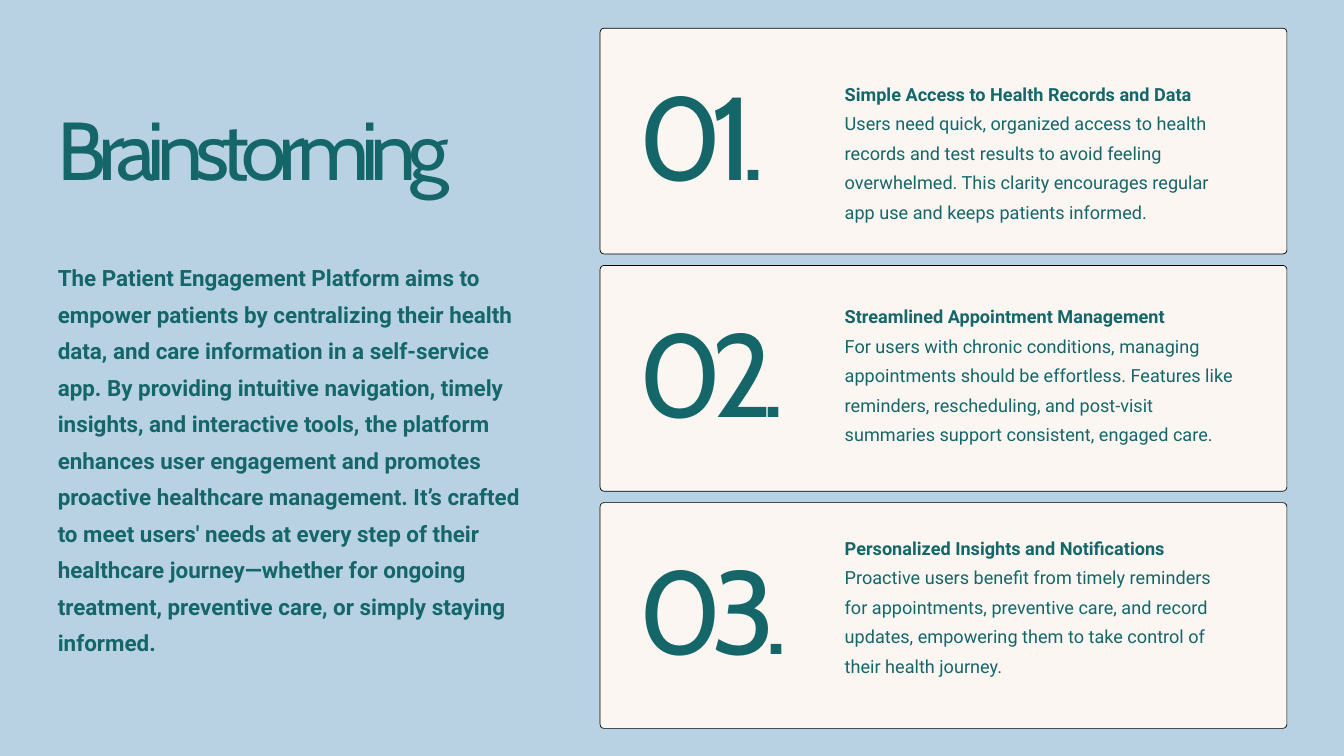
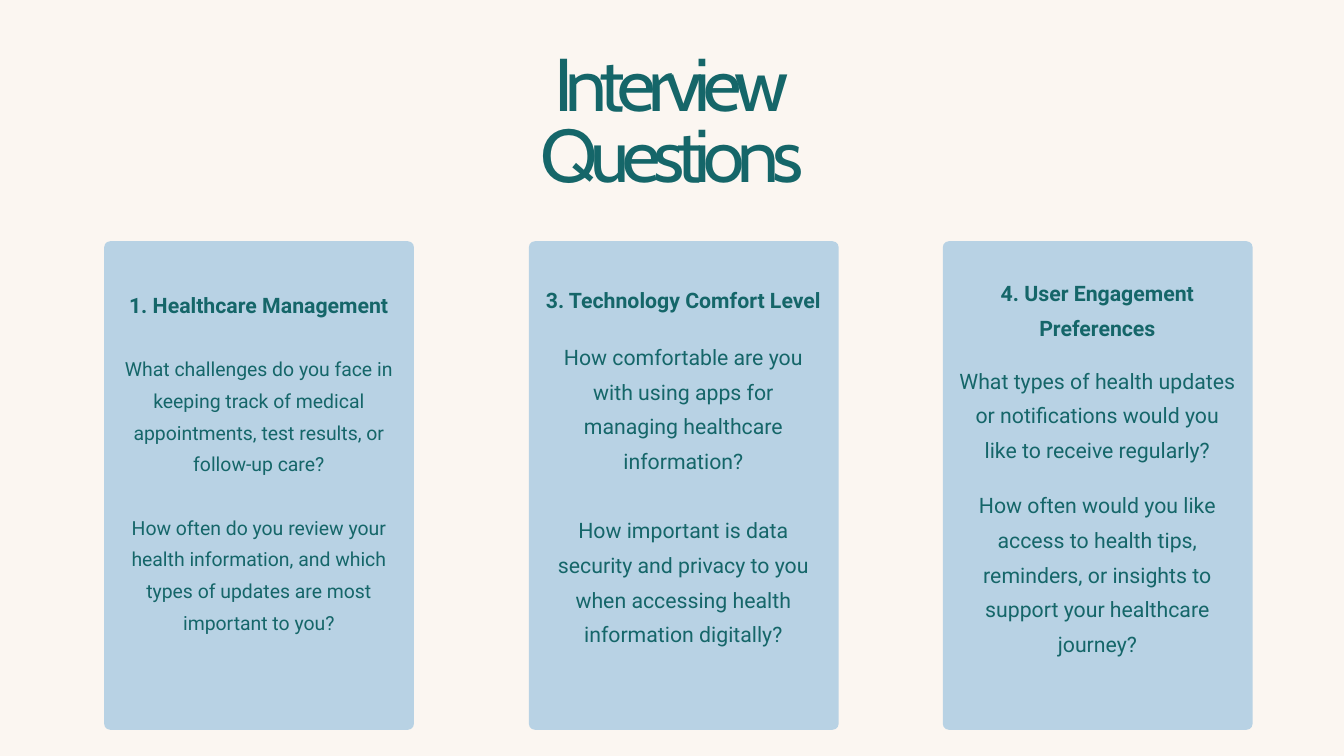
from dataclasses import dataclass

from lxml.etree import SubElement
from pptx import Presentation
from pptx.dml.color import RGBColor
from pptx.enum.shapes import MSO_SHAPE
from pptx.enum.text import MSO_ANCHOR, MSO_AUTO_SIZE, PP_ALIGN
from pptx.oxml.ns import qn
from pptx.util import Inches, Pt

TEAL, BLUE, CREAM, BLACK = "156669", "B8D2E4", "FBF6F1", "000000"
HEADING_FONT, BODY_FONT = "Cabin", "Roboto"
TITLE_AND_CONTENT, TITLE_ONLY = 1, 5


@dataclass
class Style:
    font: str
    size: float
    leading: float
    bold: bool = False
    tracking: float = 0
    align: PP_ALIGN = PP_ALIGN.LEFT


def colour(value):
    return RGBColor.from_string(value)


def add_slide(presentation, layout, background):
    slide = presentation.slides.add_slide(presentation.slide_layouts[layout])
    slide.background.fill.solid()
    slide.background.fill.fore_color.rgb = colour(background)
    return slide


def write(shape, box, paragraphs):
    shape.left, shape.top, shape.width, shape.height = map(Inches, box)
    frame = shape.text_frame
    frame.margin_left = frame.margin_top = frame.margin_right = frame.margin_bottom = 0
    frame.word_wrap = True
    frame.auto_size = MSO_AUTO_SIZE.NONE
    frame.vertical_anchor = MSO_ANCHOR.TOP
    for index, (text, style, gap) in enumerate(paragraphs):
        paragraph = frame.add_paragraph() if index else frame.paragraphs[0]
        if shape.is_placeholder:
            properties = paragraph._p.get_or_add_pPr()
            properties.set("marL", "0")
            properties.set("indent", "0")
            SubElement(properties, qn("a:buNone"))
        paragraph.alignment = style.align
        paragraph.line_spacing = Pt(style.leading)
        paragraph.space_before = Pt(gap)
        run = paragraph.add_run()
        run.text = text
        run.font.name = style.font
        run.font.size = Pt(style.size)
        run.font.bold = style.bold
        run.font.color.rgb = colour(TEAL)
        if style.tracking:
            run._r.get_or_add_rPr().set("spc", str(round(style.tracking * 100)))


def add_text(slide, box, paragraphs):
    write(slide.shapes.add_textbox(0, 0, 0, 0), box, paragraphs)


def add_card(slide, box, fill, radius, line=None):
    left, top, width, height = box
    card = slide.shapes.add_shape(MSO_SHAPE.ROUNDED_RECTANGLE, *map(Inches, box))
    card.adjustments[0] = radius / min(width, height)
    card.shadow.inherit = False
    card.fill.solid()
    card.fill.fore_color.rgb = colour(fill)
    if line:
        card.line.color.rgb = colour(line)
        card.line.width = Pt(0.75)
    else:
        card.line.fill.background()


def add_idea(slide, box, number, text_offset, heading, detail):
    left, top, width, height = box
    add_card(slide, box, CREAM, 0.06, BLACK)
    number_style = Style(HEADING_FONT, 126.1, 121, tracking=-12.1)
    add_text(slide, (left + 0.57, top + 0.93, 2.64, 1.79), [(f"{number:02}.", number_style, 0)])
    add_text(slide, (left + 3.64, top + text_offset, 5.82, 2.22), [
        (heading, Style(BODY_FONT, 19.4, 31.6, bold=True), 0),
        (detail, Style(BODY_FONT, 19.4, 31.6), 0),
    ])


def brainstorming_slide(presentation):
    slide = add_slide(presentation, TITLE_AND_CONTENT, BLUE)
    title_style = Style(HEADING_FONT, 88, 84.5, tracking=-8.4)
    write(slide.shapes.title, (0.86, 1.76, 7.25, 1.25), [("Brainstorming", title_style, 0)])
    summary = (
        "The Patient Engagement Platform aims to empower patients by centralizing their health data, "
        "and care information in a self-service app. By providing intuitive navigation, timely insights, "
        "and interactive tools, the platform enhances user engagement and promotes proactive healthcare "
        "management. It’s crafted to meet users' needs at every step of their healthcare journey—whether "
        "for ongoing treatment, preventive care, or simply staying informed."
    )
    write(slide.placeholders[1], (0.86, 3.79, 7.13, 6.55),
          [(summary, Style(BODY_FONT, 24, 39.1, bold=True), 0)])
    ideas = [
        (0.70, "Simple Access to Health Records and Data",
         "Users need quick, organized access to health records and test results to avoid feeling "
         "overwhelmed. This clarity encourages regular app use and keeps patients informed."),
        (0.48, "Streamlined Appointment Management",
         "For users with chronic conditions, managing appointments should be effortless. Features like "
         "reminders, rescheduling, and post-visit summaries support consistent, engaged care."),
        (0.40, "Personalized Insights and Notifications",
         "Proactive users benefit from timely reminders for appointments, preventive care, and record "
         "updates, empowering them to take control of their health journey."),
    ]
    for index, idea in enumerate(ideas):
        add_idea(slide, (8.93, 0.42 + index * 3.53, 10.22, 3.36), index + 1, *idea)


def add_topic(slide, box, text_offset, heading, questions, gaps, size=22.8, leading=37.1):
    left, top, width, height = box
    add_card(slide, box, BLUE, 0.09)
    heading_style = Style(BODY_FONT, 22.8, 37.1, bold=True, align=PP_ALIGN.CENTER)
    question_style = Style(BODY_FONT, size, leading, align=PP_ALIGN.CENTER)
    paragraphs = [(heading, heading_style, 0)]
    paragraphs += [(question, question_style, gap) for question, gap in zip(questions, gaps)]
    add_text(slide, (left + 0.24, top + text_offset, 4.12, 6.2), paragraphs)


def interview_slide(presentation):
    slide = add_slide(presentation, TITLE_ONLY, CREAM)
    title_style = Style(HEADING_FONT, 80, 76.8, tracking=-7.7, align=PP_ALIGN.CENTER)
    write(slide.shapes.title, (4.18, 0.81, 11.63, 2.2),
          [(word, title_style, 0) for word in ("Interview", "Questions")])
    add_topic(slide, (1.55, 3.59, 4.61, 7.27), 0.62, "1. Healthcare Management", [
        "What challenges do you face in keeping track of medical appointments, test results, "
        "or follow-up care?",
        "How often do you review your health information, and which types of updates are most "
        "important to you?",
    ], (33.9, 33.9), 20.8, 33.9)
    add_topic(slide, (7.87, 3.59, 4.61, 7.27), 0.55, "3. Technology Comfort Level", [
        "How comfortable are you with using apps for managing healthcare information?",
        "How important is data security and privacy to you when accessing health information digitally?",
    ], (24.1, 37.1))
    add_topic(slide, (14.03, 3.59, 4.61, 7.27), 0.45, "4. User Engagement Preferences", [
        "What types of health updates or notifications would you like to receive regularly?",
        "How often would you like access to health tips, reminders, or insights to support your "
        "healthcare journey?",
    ], (19.2, 22.5))


def main():
    presentation = Presentation()
    presentation.slide_width = Inches(20)
    presentation.slide_height = Inches(11.25)
    brainstorming_slide(presentation)
    interview_slide(presentation)
    presentation.save("out.pptx")


if __name__ == "__main__":
    main()
